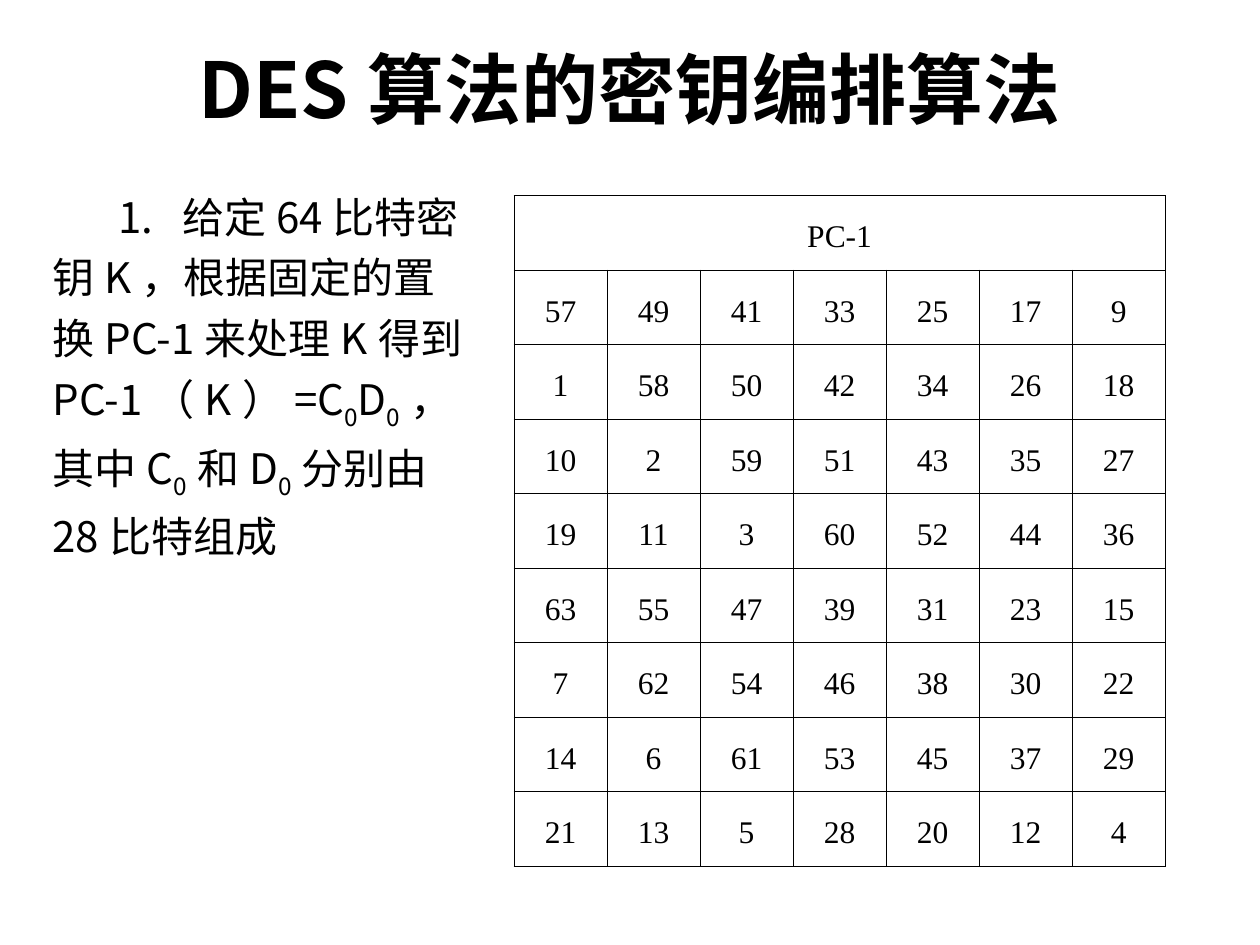
from lxml.etree import SubElement
from pptx import Presentation
from pptx.dml.color import RGBColor
from pptx.enum.text import MSO_ANCHOR, PP_ALIGN
from pptx.oxml.ns import qn
from pptx.util import Inches, Pt

WIDE, HIGH = Inches(10), Inches(7.5)
SANS, SERIF = "Noto Sans CJK SC", "Times New Roman"
INK = "000000"
TITLE = "DES算法的密钥编排算法"
BODY = ("1.  给定64比特密钥K，根据固定的置换PC-1来处理K得到PC-1（K）=C"
        "_0_D_0_，其中C_0_和D_0_分别由28比特组成")
HEAD = "PC-1"
GRID = [
    [57, 49, 41, 33, 25, 17, 9],
    [1, 58, 50, 42, 34, 26, 18],
    [10, 2, 59, 51, 43, 35, 27],
    [19, 11, 3, 60, 52, 44, 36],
    [63, 55, 47, 39, 31, 23, 15],
    [7, 62, 54, 46, 38, 30, 22],
    [14, 6, 61, 53, 45, 37, 29],
    [21, 13, 5, 28, 20, 12, 4],
]


def color(code):
    return RGBColor.from_string(code)


def write(frame, text, size, font, bold=False, align=PP_ALIGN.LEFT,
          lead=1.0, before=0, indent=0):
    para = frame.paragraphs[0]
    para.alignment = align
    para.line_spacing = lead
    para.space_before = Pt(before)
    para._p.get_or_add_pPr().set("indent", str(Inches(indent)))
    for i, part in enumerate(text.split("_")):
        run = para.add_run()
        run.text = part
        run.font.size = Pt(size)
        run.font.bold = bold
        run.font.name = font
        run.font.color.rgb = color(INK)
        props = run._r.get_or_add_rPr()
        SubElement(props, qn("a:ea"), typeface=font)
        if i % 2:
            props.set("baseline", "-25000")


def place(x, y, w, h):
    return int(x * WIDE), int(y * HIGH), int(w * WIDE), int(h * HIGH)


def label(slide, box, text, anchor=MSO_ANCHOR.TOP, **form):
    frame = slide.shapes.add_textbox(*place(*box)).text_frame
    frame.word_wrap = True
    frame.vertical_anchor = anchor
    write(frame, text, **form)


def border(cell):
    props = cell._tc.get_or_add_tcPr()
    for side in ("lnL", "lnR", "lnT", "lnB"):
        line = SubElement(props, qn("a:" + side), w=str(Pt(0.5)))
        fill = SubElement(line, qn("a:solidFill"))
        SubElement(fill, qn("a:srgbClr"), val=INK)


def matrix(slide, box, head, rows):
    cols = len(rows[0])
    table = slide.shapes.add_table(len(rows) + 1, cols, *place(*box)).table
    table.first_row = table.horz_banding = False
    table.cell(0, 0).merge(table.cell(0, cols - 1))
    for cell in table.iter_cells():
        border(cell)
        cell.fill.background()
        cell.vertical_anchor = MSO_ANCHOR.MIDDLE
        cell.margin_left = cell.margin_right = cell.margin_top = Inches(0.01)
        cell.margin_bottom = 0
    form = dict(size=18, font=SERIF, align=PP_ALIGN.CENTER, lead=1.2)
    write(table.cell(0, 0).text_frame, head, **form)
    for r, row in enumerate(rows, 1):
        for c, value in enumerate(row):
            write(table.cell(r, c).text_frame, str(value), **form)


def main():
    deck = Presentation()
    deck.slide_width, deck.slide_height = WIDE, HIGH
    slide = deck.slides.add_slide(deck.slide_layouts[6])
    label(slide, (0.075, 0.02, 0.85, 0.145), TITLE, MSO_ANCHOR.MIDDLE,
          size=44, font=SANS, bold=True, align=PP_ALIGN.CENTER)
    label(slide, (0.032, 0.185, 0.354, 0.7), BODY,
          size=24, font=SANS, lead=1.2, before=4.8, indent=0.52)
    matrix(slide, (0.408, 0.207, 0.517, 0.71), HEAD, GRID)
    deck.save("out.pptx")


if __name__ == "__main__":
    main()
